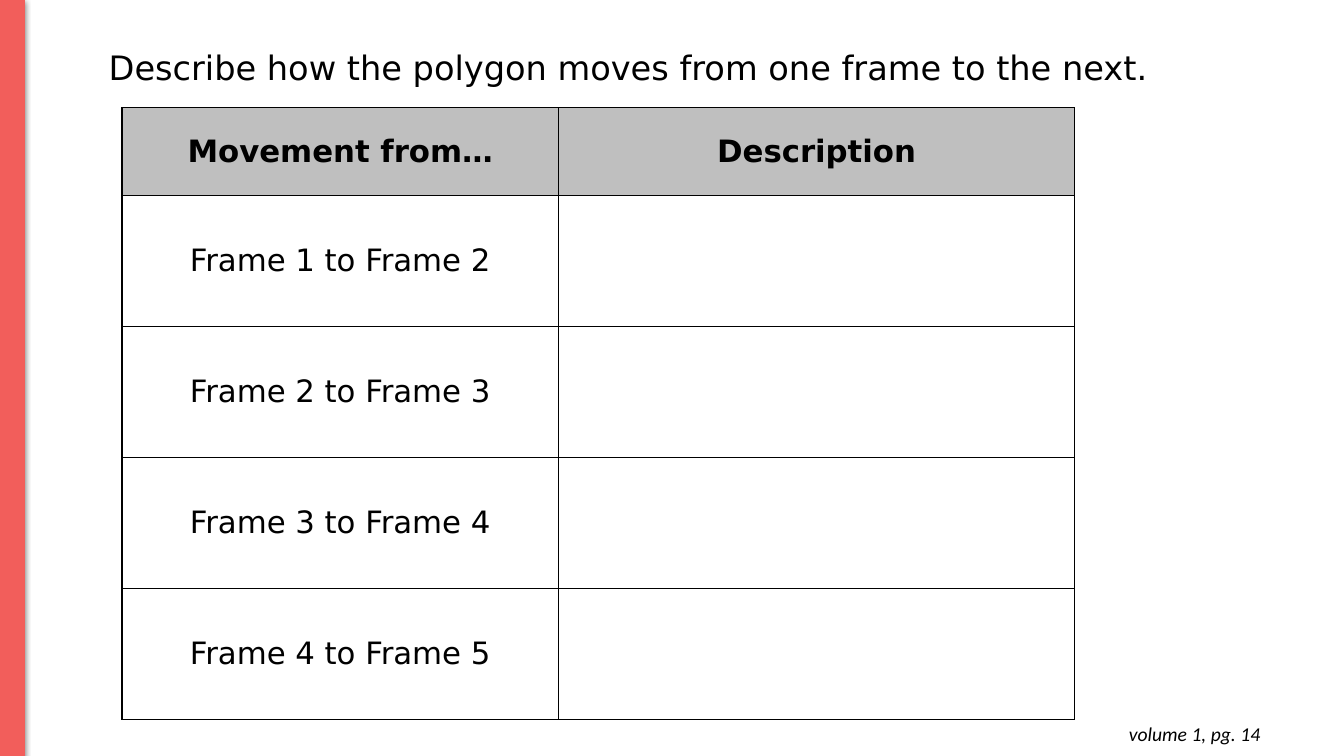
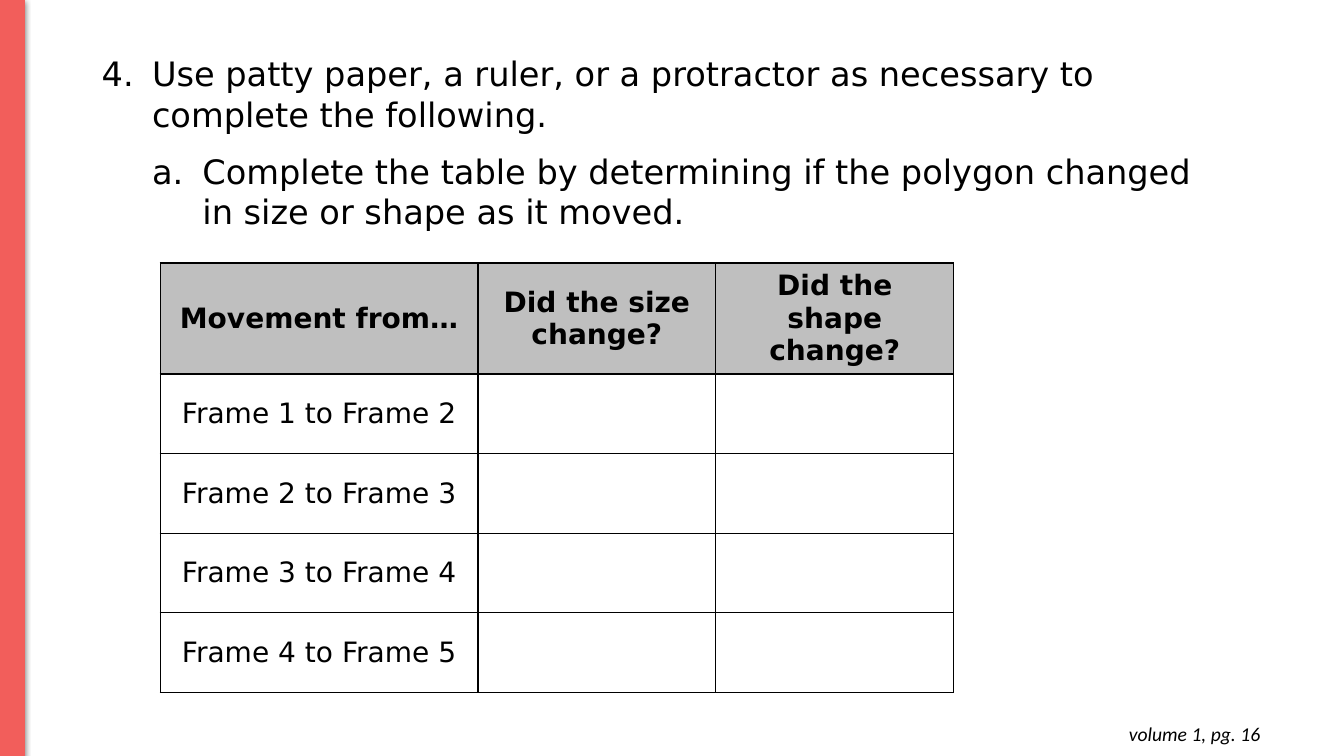
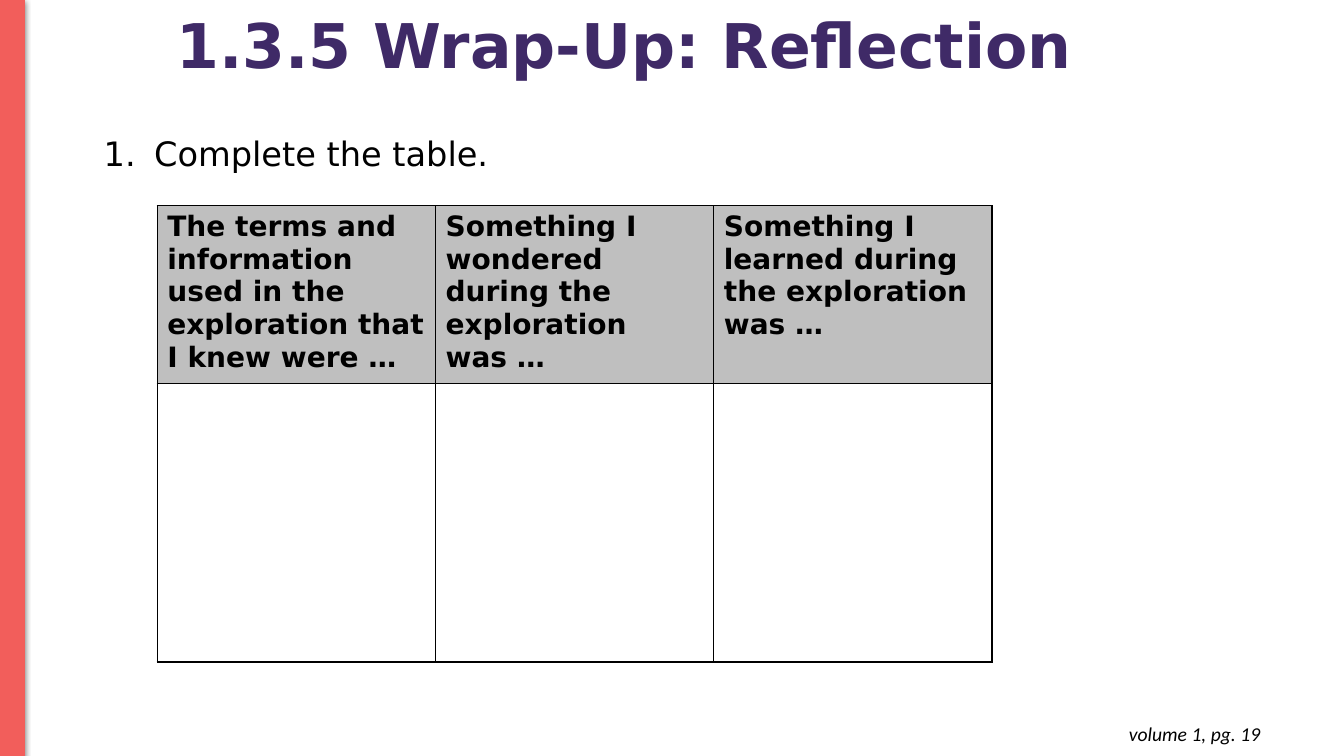
from dataclasses import dataclass

from lxml import etree
from pptx import Presentation
from pptx import util as u
from pptx.dml.color import RGBColor
from pptx.enum import shapes, text
from pptx.oxml import ns

EMU_PER_PX = 9144  # 100 px to the inch
W, H = 1333, 750
TITLE_ONLY, BLANK = 5, 6

CORAL, PURPLE, GREY, BLACK = "F25E5B", "3F2A67", "BFBFBF", "000000"
BODY, FOOTER = "DejaVu Sans", "Calibri"
PROMPT_SIZE = 24
FRAMES = [f"Frame {n} to Frame {n + 1}" for n in range(1, 5)]


@dataclass(frozen=True)
class Box:
    x: int
    y: int
    w: int
    h: int

    def emu(self) -> list[int]:
        return [px(v) for v in (self.x, self.y, self.w, self.h)]


@dataclass(frozen=True)
class Item:
    """One prompt paragraph, numbered when a scheme is given."""
    words: str
    scheme: str = ""
    start: int = 1
    indent: int = 50
    after: int = 0


@dataclass(frozen=True)
class Grid:
    """A table to fill in: header texts, row labels, and measures."""
    x: int
    y: int
    cols: list[int]
    rows: list[int]
    header: list[str]
    labels: list[str]
    size: int = 20
    centred: bool = True
    margin_x: int = 10
    margin_y: int = 5


def px(n: int) -> int:
    return u.Emu(n * EMU_PER_PX)


def rgb(color: str) -> RGBColor:
    return RGBColor.from_string(color)


def sub(parent, tag: str, **attrs):
    """Append a drawing element with the given attributes."""
    values = {k: str(v) for k, v in attrs.items()}
    return etree.SubElement(parent, ns.qn(tag), values)


def style(p, size: int, color: str = BLACK, font: str = BODY,
          bold: bool = False, italic: bool = False) -> None:
    for r in p.runs:
        f = r.font
        f.name, f.size, f.bold, f.italic = font, u.Pt(size), bold, italic
        f.color.rgb = rgb(color)


def number(p, item: Item) -> None:
    """Give a paragraph automatic numbering with a hanging indent."""
    pPr = p._p.get_or_add_pPr()
    pPr.set("marL", str(px(item.indent)))
    pPr.set("indent", str(px(-50)))
    sub(sub(pPr, "a:buClr"), "a:srgbClr", val=BLACK)
    sub(pPr, "a:buAutoNum", type=item.scheme, startAt=item.start)


def add_text_box(s, box: Box):
    tf = s.shapes.add_textbox(*box.emu()).text_frame
    tf.word_wrap = True
    tf.auto_size = text.MSO_AUTO_SIZE.SHAPE_TO_FIT_TEXT
    return tf


def add_prompt(s, box: Box, *items: Item) -> None:
    tf = add_text_box(s, box)
    for i, item in enumerate(items):
        p = tf.add_paragraph() if i else tf.paragraphs[0]
        p.text = item.words
        if item.scheme:
            number(p, item)
        if item.after:
            p.space_after = u.Pt(item.after)
        style(p, PROMPT_SIZE)


def add_side_bar(s) -> None:
    sp = s.shapes.add_shape(shapes.MSO_SHAPE.RECTANGLE, *Box(0, 0, 24, H).emu())
    sp.fill.solid()
    sp.fill.fore_color.rgb = rgb(CORAL)
    sp.line.color.rgb = rgb(CORAL)
    sp.line.width = u.Pt(0.75)
    sp.shadow.inherit = False
    effects = sp._element.spPr.find(ns.qn("a:effectLst"))
    shadow = sub(effects, "a:outerShdw", blurRad=u.Pt(4.5), dist=u.Pt(1.5),
                 dir=5400000, algn="ctr", rotWithShape=0)
    sub(sub(shadow, "a:srgbClr", val=BLACK), "a:alpha", val=50000)


def add_page_reference(s, page: int) -> None:
    tf = add_text_box(s, Box(972, 706, 288, 44))
    tf.margin_top = tf.margin_bottom = px(10)
    p = tf.paragraphs[0]
    p.text = f"volume 1, pg. {page}"
    p.alignment = text.PP_ALIGN.RIGHT
    style(p, 14, font=FOOTER, italic=True)


def add_slide(prs, page: int, layout: int = BLANK):
    """Add a slide with the side bar and page reference."""
    s = prs.slides.add_slide(prs.slide_layouts[layout])
    add_side_bar(s)
    add_page_reference(s, page)
    return s


def set_title(s, words: str) -> None:
    sp = s.shapes.title
    sp.left, sp.top, sp.width, sp.height = Box(165, 10, 1033, 77).emu()
    tf = sp.text_frame
    tf.text = words
    tf.word_wrap = True
    tf.auto_size = text.MSO_AUTO_SIZE.NONE
    tf.vertical_anchor = text.MSO_ANCHOR.MIDDLE
    p = tf.paragraphs[0]
    p.alignment = text.PP_ALIGN.LEFT
    p.line_spacing = 0.9
    style(p, 44, PURPLE, bold=True)


def add_borders(cell) -> None:
    tcPr = cell._tc.get_or_add_tcPr()
    for side in "LRTB":
        ln = sub(tcPr, f"a:ln{side}", w=u.Pt(1))
        sub(sub(ln, "a:solidFill"), "a:srgbClr", val=BLACK)


def format_cell(cell, words: str, grid: Grid, is_header: bool) -> None:
    add_borders(cell)
    if is_header:
        cell.fill.solid()
        cell.fill.fore_color.rgb = rgb(GREY)
    else:
        cell.fill.background()
    cell.margin_left = cell.margin_right = px(grid.margin_x)
    cell.margin_top = cell.margin_bottom = px(grid.margin_y)
    if not words:
        return
    cell.text_frame.text = words
    p = cell.text_frame.paragraphs[0]
    if grid.centred:
        cell.vertical_anchor = text.MSO_ANCHOR.MIDDLE
        p.alignment = text.PP_ALIGN.CENTER
    style(p, grid.size, bold=is_header)


def add_grid(s, grid: Grid) -> None:
    box = Box(grid.x, grid.y, sum(grid.cols), sum(grid.rows))
    table = s.shapes.add_table(len(grid.rows), len(grid.cols), *box.emu()).table
    table.first_row = table.horz_banding = False
    for column, w in zip(table.columns, grid.cols):
        column.width = px(w)
    blanks = [""] * (len(grid.cols) - 1)
    lines = [grid.header] + [[label] + blanks for label in grid.labels]
    for i, (row, h, line) in enumerate(zip(table.rows, grid.rows, lines)):
        row.height = px(h)
        for cell, words in zip(row.cells, line):
            format_cell(cell, words, grid, is_header=i == 0)


def add_movement_slide(prs) -> None:
    s = add_slide(prs, 14)
    add_prompt(s, Box(98, 42, 1117, 50), Item(
        "Describe how the polygon moves from one frame to the next."))
    add_grid(s, Grid(121, 107, [433, 512], [87] + [130] * 4,
                     ["Movement from…", "Description"], FRAMES,
                     size=22, margin_x=11, margin_y=6))


def add_size_and_shape_slide(prs) -> None:
    s = add_slide(prs, 16)
    add_prompt(
        s, Box(91, 48, 1124, 188),
        Item("Use patty paper, a ruler, or a protractor as necessary to "
             "complete the following.", "arabicPeriod", start=4, after=12),
        Item("Complete the table by determining if the polygon changed "
             "in size or shape as it moved.", "alphaLcPeriod", indent=100))
    add_grid(s, Grid(159, 261, [315, 236, 236], [79] * 5,
                     ["Movement from…", "Did the size change?",
                      "Did the shape change?"], FRAMES))


def add_reflection_slide(prs) -> None:
    s = add_slide(prs, 19, TITLE_ONLY)
    set_title(s, "1.3.5 Wrap-Up: Reflection")
    add_prompt(s, Box(93, 127, 1122, 50),
               Item("Complete the table.", "arabicPeriod"))
    add_grid(s, Grid(156, 204, [276] * 3, [160, 276], [
        "The terms and information used in the exploration that I knew were …",
        "Something I wondered during the exploration\vwas …",
        "Something I learned during the exploration was …",
    ], [""], centred=False))


def main() -> None:
    prs = Presentation()
    prs.slide_width, prs.slide_height = px(W), px(H)
    add_movement_slide(prs)
    add_size_and_shape_slide(prs)
    add_reflection_slide(prs)
    prs.save("out.pptx")


if __name__ == "__main__":
    main()
